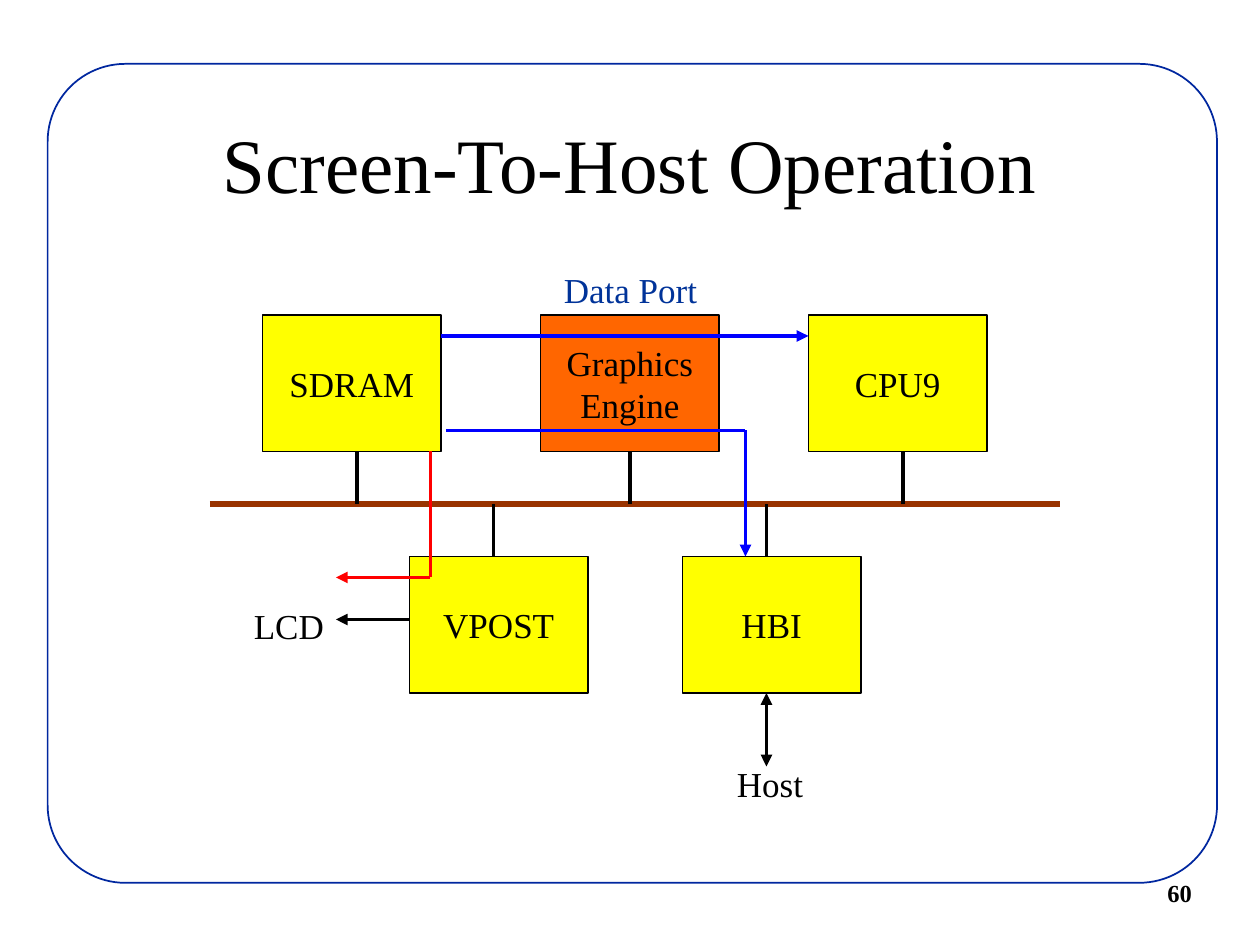
import pptx
import pptx.dml.color
import pptx.enum.shapes
import pptx.enum.text
import pptx.oxml.ns
import pptx.util
from lxml import etree

Pt = pptx.util.Pt
RGBColor = pptx.dml.color.RGBColor
SHAPE = pptx.enum.shapes.MSO_SHAPE
ALIGN = pptx.enum.text.PP_ALIGN
ANCHOR = pptx.enum.text.MSO_ANCHOR
qn = pptx.oxml.ns.qn

WHITE = RGBColor(0xFF, 0xFF, 0xFF)
BLACK = RGBColor(0, 0, 0)
FRAME_BLUE = RGBColor(0x00, 0x27, 0x9F)
LABEL_BLUE = RGBColor(0x00, 0x33, 0x99)
DATA_BLUE = RGBColor(0x00, 0x00, 0xFF)
DISPLAY_RED = RGBColor(0xFF, 0x00, 0x00)
BUS_BROWN = RGBColor(0x99, 0x33, 0x00)
YELLOW = RGBColor(0xFF, 0xFF, 0x00)
ORANGE = RGBColor(0xFF, 0x66, 0x00)

FONT = "Times New Roman"
BLOCK_WIDTH, BLOCK_HEIGHT = 102, 78
UPPER_TOP, BUS_Y, LOWER_TOP = 180, 288, 318
UPPER_BOTTOM = UPPER_TOP + BLOCK_HEIGHT
LOWER_BOTTOM = LOWER_TOP + BLOCK_HEIGHT

BLOCKS = [  # text, left, top, fill
    ("SDRAM", 150, UPPER_TOP, YELLOW),
    ("Graphics\nEngine", 309, UPPER_TOP, ORANGE),
    ("CPU9", 462, UPPER_TOP, YELLOW),
    ("VPOST", 234, LOWER_TOP, YELLOW),
    ("HBI", 390, LOWER_TOP, YELLOW),
]
UPPER_TAPS = (204, 360, 516)
LOWER_TAPS = (282, 438)


def write(shape, text, size=20, color=BLACK, bold=False, align=ALIGN.CENTER,
          anchor=ANCHOR.MIDDLE, wrap=False):
    frame = shape.text_frame
    frame.word_wrap = wrap
    frame.vertical_anchor = anchor
    frame.text = text
    for para in frame.paragraphs:
        para.alignment = align
        para.font.name = FONT
        para.font.size = Pt(size)
        para.font.bold = bold
        para.font.color.rgb = color


def add_label(page, text, left, top, width, height, **style):
    box = page.shapes.add_textbox(Pt(left), Pt(top), Pt(width), Pt(height))
    write(box, text, **style)


def add_outlined(page, kind, left, top, width, height, fill, line, weight):
    shape = page.shapes.add_shape(kind, Pt(left), Pt(top), Pt(width), Pt(height))
    shape.shadow.inherit = False
    shape.fill.solid()
    shape.fill.fore_color.rgb = fill
    shape.line.color.rgb = line
    shape.line.width = Pt(weight)
    return shape


def add_block(page, text, left, top, fill):
    block = add_outlined(page, SHAPE.RECTANGLE, left, top,
                         BLOCK_WIDTH, BLOCK_HEIGHT, fill, BLACK, 0.75)
    write(block, text)


def add_line(page, start, end, color=BLACK, weight=2.25, arrows=()):
    """Arrows names the ends with a triangle: headEnd (start), tailEnd (end)."""
    line = page.shapes.add_connector(
        pptx.enum.shapes.MSO_CONNECTOR.STRAIGHT,
        *(Pt(value) for value in (*start, *end)))
    line.line.color.rgb = color
    line.line.width = Pt(weight)
    properties = line._element.spPr
    for name in arrows:
        etree.SubElement(properties.find(qn("a:ln")), qn("a:" + name),
                         type="triangle")
    etree.SubElement(properties, qn("a:effectLst"))


def add_path(page, points, color):
    """Joined straight lines with an arrowhead on the last one."""
    for index in range(1, len(points)):
        last = index == len(points) - 1
        add_line(page, points[index - 1], points[index], color,
                 arrows=("tailEnd",) if last else ())


def add_frame(page):
    frame = add_outlined(page, SHAPE.ROUNDED_RECTANGLE, 27.25, 36.5, 668.25, 468,
                         WHITE, FRAME_BLUE, 1)
    frame.adjustments[0] = 0.095
    add_label(page, "60", 660, 498, 60, 24, size=14, bold=True,
              align=ALIGN.LEFT, anchor=ANCHOR.TOP, wrap=True)


def add_diagram(page):
    for block in BLOCKS:
        add_block(page, *block)

    add_line(page, (120, BUS_Y), (606, BUS_Y), BUS_BROWN, 3)
    for x in UPPER_TAPS:
        add_line(page, (x, UPPER_BOTTOM), (x, BUS_Y))
    for x in LOWER_TAPS:
        add_line(page, (x, BUS_Y), (x, LOWER_TOP))

    add_line(page, (438, LOWER_BOTTOM), (438, 438), arrows=("headEnd", "tailEnd"))
    add_path(page, [(234, 354), (192, 354)], BLACK)
    add_path(page, [(246, UPPER_BOTTOM), (246, 330), (192, 330)], DISPLAY_RED)
    add_path(page, [(252, 192), (462, 192)], DATA_BLUE)
    add_path(page, [(255, 246), (426, 246), (426, LOWER_TOP)], DATA_BLUE)

    add_label(page, "Data Port", 315, 150, 90.5, 31.5, color=LABEL_BLUE,
              anchor=ANCHOR.TOP)
    for text, left, top, width in (("Host", 414, 432, 54), ("LCD", 138, 342, 56)):
        add_label(page, text, left, top, width, 31.5,
                  align=ALIGN.LEFT, anchor=ANCHOR.TOP)


def main():
    deck = pptx.Presentation()
    deck.slide_width, deck.slide_height = Pt(720), Pt(540)
    page = deck.slides.add_slide(deck.slide_layouts[6])
    add_frame(page)
    add_label(page, "Screen-To-Host Operation", 54, 48, 612, 90, size=44, wrap=True)
    add_diagram(page)
    deck.save("out.pptx")


if __name__ == "__main__":
    main()
